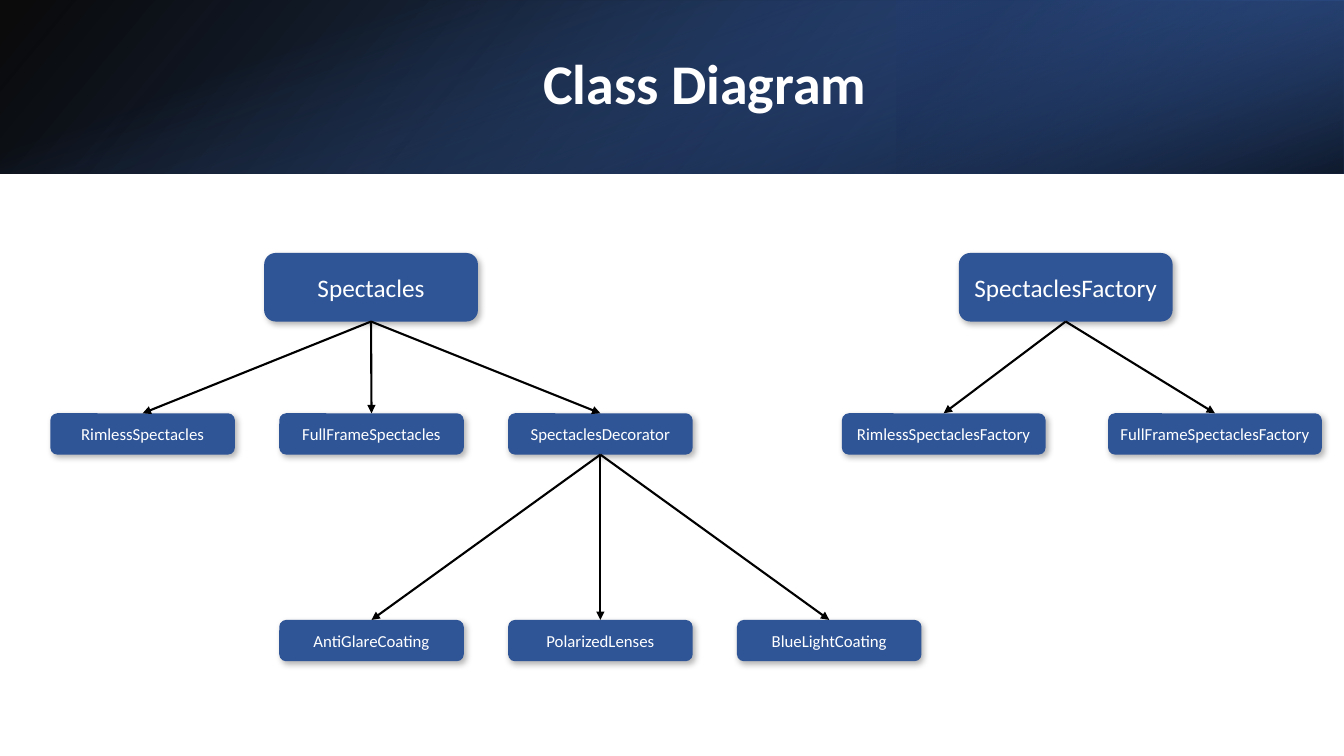
from lxml.etree import SubElement
from pptx import Presentation
from pptx.dml.color import RGBColor
from pptx.enum.shapes import MSO_CONNECTOR, MSO_SHAPE
from pptx.enum.text import MSO_ANCHOR, MSO_AUTO_SIZE, PP_ALIGN
from pptx.oxml.ns import qn
from pptx.util import Pt

PX = 9144  # EMU per px, 100 px to the inch
SLIDE_W, SLIDE_H = 1333, 750
BAND_H = 172
FONT = "Calibri"

BLACK = RGBColor(0x00, 0x00, 0x00)
WHITE = RGBColor(0xFF, 0xFF, 0xFF)
BLUE = RGBColor(0x2F, 0x55, 0x97)
NAVY = RGBColor(0x20, 0x38, 0x64)
BRIGHT_BLUE = RGBColor(0x44, 0x72, 0xC4)

ROOT_Y, ROOT_W, ROOT_H = 251, 212, 68
CHILD_Y, LEAF_Y, NODE_W, NODE_H = 410, 615, 183, 41
COLUMN_X = [50 + 227 * i for i in range(4)]


def px(*lengths):
    return [n * PX for n in lengths]


def set_font(p, size, bold=False):
    p.alignment = PP_ALIGN.CENTER
    p.font.name = FONT
    p.font.size = Pt(size)
    p.font.bold = bold
    p.font.color.rgb = WHITE


def add_band(s, box, stops, angle, rotation=0, flip=False):
    """Add a gradient rectangle; stops are (position, colour, opacity %), angle is clockwise."""
    band = s.shapes.add_shape(MSO_SHAPE.RECTANGLE, *px(*box))
    band.shadow.inherit = False
    band.line.fill.background()
    band.rotation = rotation
    if flip:
        band._element.spPr.find(qn("a:xfrm")).set("flipH", "1")
    band.fill.gradient()
    band.fill.gradient_angle = 360 - angle
    for stop, (position, colour, _) in zip(band.fill.gradient_stops, stops):
        stop.position = position
        stop.color.rgb = colour
    colours = band._element.spPr.findall(".//" + qn("a:srgbClr"))
    for clr, (_, _, opacity) in zip(colours, stops):
        SubElement(clr, qn("a:alpha"), val=str(opacity * 1000))


def add_title(s, text):
    title = s.shapes.title
    s.shapes._spTree.append(title._element)  # bring in front of the bands
    title.left, title.top, title.width, title.height = px(150, 38, 1098, 96)
    tf = title.text_frame
    tf.text = text
    tf.auto_size = MSO_AUTO_SIZE.NONE
    tf.vertical_anchor = MSO_ANCHOR.MIDDLE
    p = tf.paragraphs[0]
    p.line_spacing = 0.9
    set_font(p, 40, bold=True)


def add_drop_shadow(shape):
    shape.shadow.inherit = False
    effects = shape._element.spPr.find(qn("a:effectLst"))
    shadow = SubElement(effects, qn("a:outerShdw"), blurRad=str(Pt(4.5)),
                        dist=str(Pt(2.6)), dir=str(53 * 60000),
                        algn="ctr", rotWithShape="0")
    clr = SubElement(shadow, qn("a:srgbClr"), val=str(BLACK))
    SubElement(clr, qn("a:alpha"), val="30000")


def add_class(s, name, x, y, w=NODE_W, h=NODE_H, size=12):
    node = s.shapes.add_shape(MSO_SHAPE.ROUNDED_RECTANGLE, *px(x, y, w, h))
    node.fill.solid()
    node.fill.fore_color.rgb = BLUE
    node.line.fill.background()
    add_drop_shadow(node)
    tf = node.text_frame
    tf.text = name
    tf.vertical_anchor = MSO_ANCHOR.MIDDLE
    set_font(tf.paragraphs[0], size)
    return node


def add_root(s, name, x):
    return add_class(s, name, x, ROOT_Y, ROOT_W, ROOT_H, size=18)


def add_arrows(s, parent, children):
    for child in children:
        arrow = s.shapes.add_connector(MSO_CONNECTOR.STRAIGHT, 0, 0, 0, 0)
        arrow.begin_connect(parent, 2)
        arrow.end_connect(child, 0)
        arrow.line.color.rgb = BLACK
        arrow.line.width = Pt(1.5)
        SubElement(arrow.line._get_or_add_ln(), qn("a:tailEnd"), type="triangle")
        SubElement(arrow._element.spPr, qn("a:effectLst"))


def add_row(s, names, columns, y):
    return [add_class(s, name, x, y) for name, x in zip(names, columns)]


def main():
    prs = Presentation()
    prs.slide_width, prs.slide_height = px(SLIDE_W, SLIDE_H)
    s = prs.slides.add_slide(prs.slide_layouts[5])

    add_band(s, (0, 0, SLIDE_W, BAND_H),
             [(0, BLACK, 96), (1, BLUE, 100)], 140, flip=True)
    add_band(s, (889, 0, 444, BAND_H),
             [(0.19, NAVY, 68), (1, BRIGHT_BLUE, 79)], 320, rotation=180, flip=True)
    add_band(s, (580, -580, BAND_H, SLIDE_W),
             [(0.23, BRIGHT_BLUE, 0), (0.99, BLACK, 74)], 340, rotation=90)
    add_title(s, "Class Diagram")

    spectacles = add_root(s, "Spectacles", 262)
    kinds = add_row(s, ["RimlessSpectacles", "FullFrameSpectacles", "SpectaclesDecorator"],
                    COLUMN_X[:3], CHILD_Y)
    decorators = add_row(s, ["AntiGlareCoating", "PolarizedLenses", "BlueLightCoating"],
                         COLUMN_X[1:], LEAF_Y)
    add_arrows(s, spectacles, kinds)
    add_arrows(s, kinds[-1], decorators)

    factory = add_root(s, "SpectaclesFactory", 951)
    factories = [add_class(s, "RimlessSpectaclesFactory", 835, CHILD_Y, w=202),
                 add_class(s, "FullFrameSpectaclesFactory", 1099, CHILD_Y, w=212)]
    add_arrows(s, factory, factories)

    prs.save("out.pptx")


if __name__ == "__main__":
    main()
